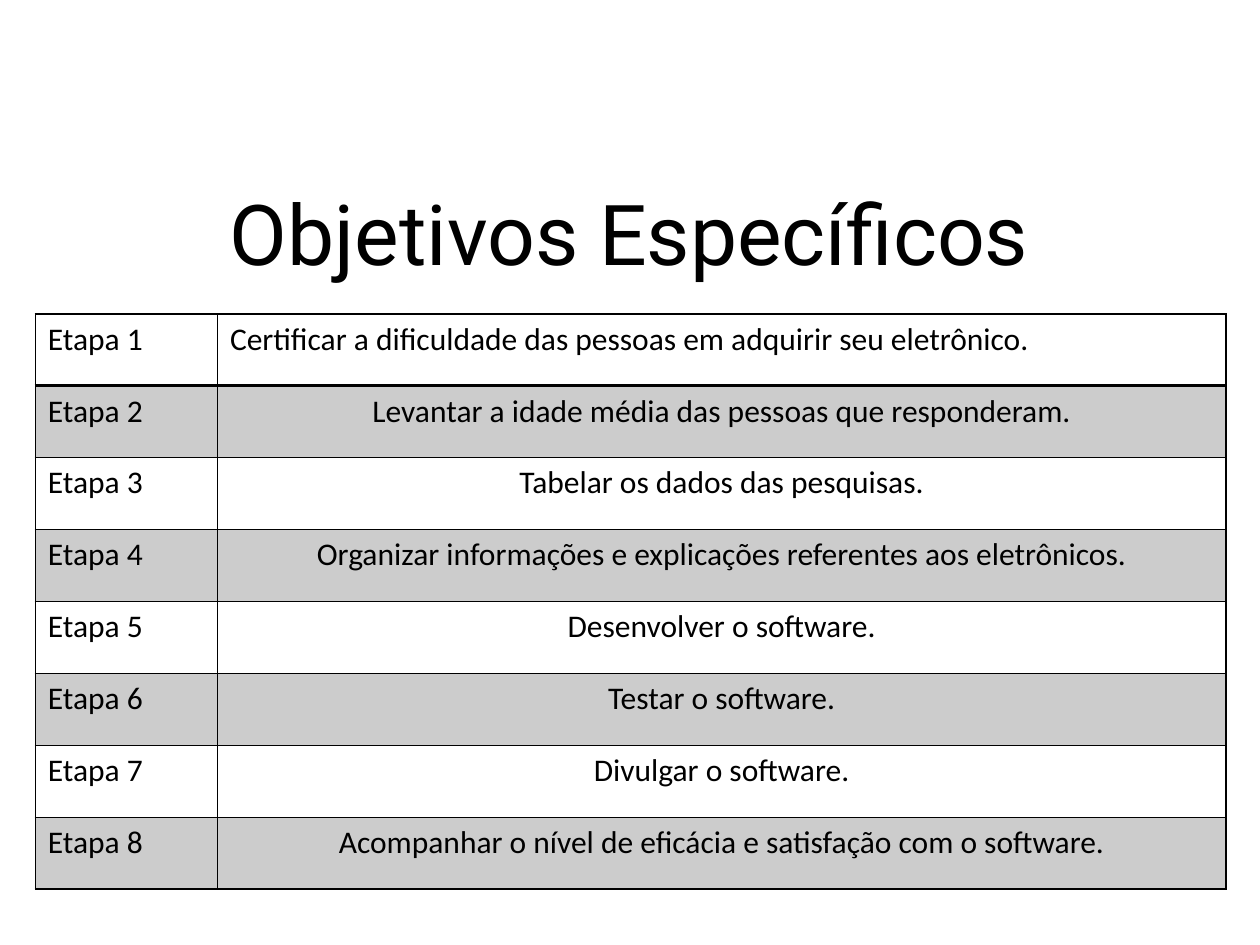
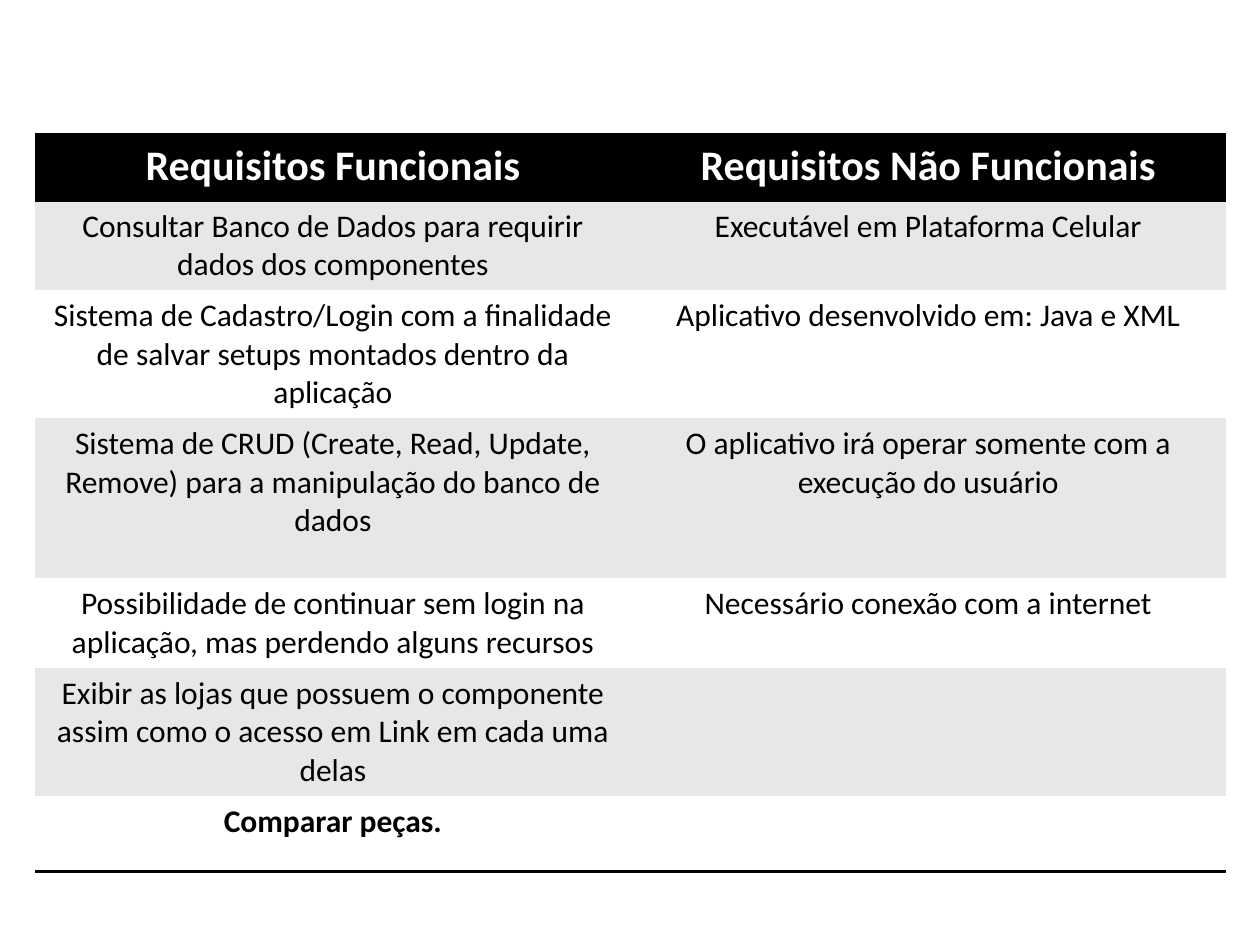
from lxml.etree import SubElement
from pptx import Presentation
from pptx.dml.color import RGBColor
from pptx.enum.text import MSO_ANCHOR, MSO_AUTO_SIZE, PP_ALIGN
from pptx.oxml.ns import qn
from pptx.util import Inches, Pt

COLORS = {"ink": "000000", "paper": "FFFFFF", "band": "E7E7E7"}
FONTS = {"title": "Roboto", "body": "Calibri"}
PLAIN_TABLE = "{2D5ABB26-0587-4C30-8999-92F81FD0307C}"
TITLE_ONLY, BLANK = 5, 6
TABLE_LEFT, TABLE_WIDTH = 0.028, 0.945

STEPS = [
    "Certificar a dificuldade das pessoas em adquirir seu eletrônico.",
    "Levantar a idade média das pessoas que responderam.",
    "Tabelar os dados das pesquisas.",
    "Organizar informações e explicações referentes aos eletrônicos.",
    "Desenvolver o software.",
    "Testar o software.",
    "Divulgar o software.",
    "Acompanhar o nível de eficácia e satisfação com o software.",
]
# Row height in inches, functional and non-functional requirement
REQUIREMENTS = [
    (0.53, "Requisitos Funcionais", "Requisitos Não Funcionais"),
    (0.68, "Consultar Banco de Dados para requirir dados dos componentes",
     "Executável em Plataforma Celular"),
    (0.97, "Sistema de Cadastro/Login com a finalidade de salvar setups "
     "montados dentro da aplicação", "Aplicativo desenvolvido em: Java e XML"),
    (1.27, "Sistema de CRUD (Create, Read, Update, Remove) para a manipulação "
     "do banco de dados",
     "O aplicativo irá operar somente com a execução do usuário"),
    (0.68, "Possibilidade de continuar sem login na aplicação, mas perdendo "
     "alguns recursos", "Necessário conexão com a internet"),
    (0.97, "Exibir as lojas que possuem o componente assim como o acesso em "
     "Link em cada uma delas", ""),
    (0.6, "Comparar peças.", ""),
]


class Deck:
    """Shared style and the slide being filled; positions are slide shares."""

    def __init__(self):
        self.prs = Presentation()
        self.prs.slide_width, self.prs.slide_height = Inches(10), Inches(7.5)
        self.slide = None

    def x(self, share):
        return int(self.prs.slide_width * share)

    def y(self, share):
        return int(self.prs.slide_height * share)

    def new_slide(self, layout):
        self.slide = self.prs.slides.add_slide(self.prs.slide_layouts[layout])

    def style(self, paragraph, font, size, color="ink", bold=False, align=PP_ALIGN.CENTER):
        paragraph.alignment = align
        paragraph.font.name, paragraph.font.size = FONTS[font], Pt(size)
        paragraph.font.bold = bold
        paragraph.font.color.rgb = RGBColor.from_string(COLORS[color])

    def title(self, text, left, top, width, height):
        title = self.slide.shapes.title
        title.left, title.top = self.x(left), self.y(top)
        title.width, title.height = self.x(width), self.y(height)
        frame = title.text_frame
        frame.text = text
        frame.auto_size = MSO_AUTO_SIZE.NONE
        frame.vertical_anchor = MSO_ANCHOR.MIDDLE
        self.style(frame.paragraphs[0], "title", 48)

    def table(self, top, columns, rows):
        """Add a plain table; columns are shares of its width, rows inches."""
        table = self.slide.shapes.add_table(
            len(rows), len(columns), self.x(TABLE_LEFT), self.y(top),
            self.x(TABLE_WIDTH), Inches(sum(rows))).table
        table.first_row = table.horz_banding = False
        table._tbl.tblPr.find(qn("a:tableStyleId")).text = PLAIN_TABLE
        for column, share in zip(table.columns, columns):
            column.width = self.x(TABLE_WIDTH * share)
        for row, height in zip(table.rows, rows):
            row.height = Inches(height)
        return table

    def cell(self, cell, text, borders, fill=None, alpha=None, size=18, **style):
        """Fill one cell; borders maps L, R, T, B to widths in points."""
        cell.text = text
        self.style(cell.text_frame.paragraphs[0], "body", size, **style)
        props = cell._tc.get_or_add_tcPr()
        for side in "LRTB":
            if side in borders:
                line = SubElement(props, qn(f"a:ln{side}"), w=str(Pt(borders[side])))
                solid = SubElement(line, qn("a:solidFill"))
                SubElement(solid, qn("a:srgbClr"), val=COLORS["ink"])
        if fill is None:
            cell.fill.background()
            return
        cell.fill.solid()
        cell.fill.fore_color.rgb = RGBColor.from_string(COLORS[fill])
        if alpha:
            color = props.find(f"{qn('a:solidFill')}/{qn('a:srgbClr')}")
            SubElement(color, qn("a:alpha"), val=str(alpha * 1000))


def objectives(deck):
    deck.new_slide(TITLE_ONLY)
    deck.title("Objetivos Específicos", 0.167, 0.185, 0.665, 0.121)

    # Numbered steps, every second row shaded
    table = deck.table(0.332, [0.153, 0.847], [0.571] * len(STEPS))
    for i, step in enumerate(STEPS):
        borders = {"L": 1, "R": 1, "T": 2 if i == 1 else 1, "B": 2 if i == 0 else 1}
        shade = {"fill": "ink", "alpha": 20} if i % 2 else {}
        deck.cell(table.cell(i, 0), f"Etapa {i + 1}", borders,
                  align=PP_ALIGN.LEFT, **shade)
        deck.cell(table.cell(i, 1), step, borders,
                  align=PP_ALIGN.CENTER if i else PP_ALIGN.LEFT, **shade)


def requirements(deck):
    deck.new_slide(BLANK)
    heights = [row[0] for row in REQUIREMENTS]
    table = deck.table(0.142, [0.5, 0.5], heights)
    last = len(REQUIREMENTS) - 1

    # Dark header, banded body, closing rule
    for i, (_, *texts) in enumerate(REQUIREMENTS):
        if i == 0:
            look = {"fill": "ink", "color": "paper", "size": 24, "bold": True}
            borders = {"T": 2, "B": 2}
        else:
            look = {"fill": "band" if i % 2 else "paper", "bold": i == last}
            borders = {"B": 2} if i == last else {}
        for j, text in enumerate(texts):
            deck.cell(table.cell(i, j), text, borders, **look)


def main():
    deck = Deck()
    objectives(deck)
    requirements(deck)
    deck.prs.save("out.pptx")


if __name__ == "__main__":
    main()
